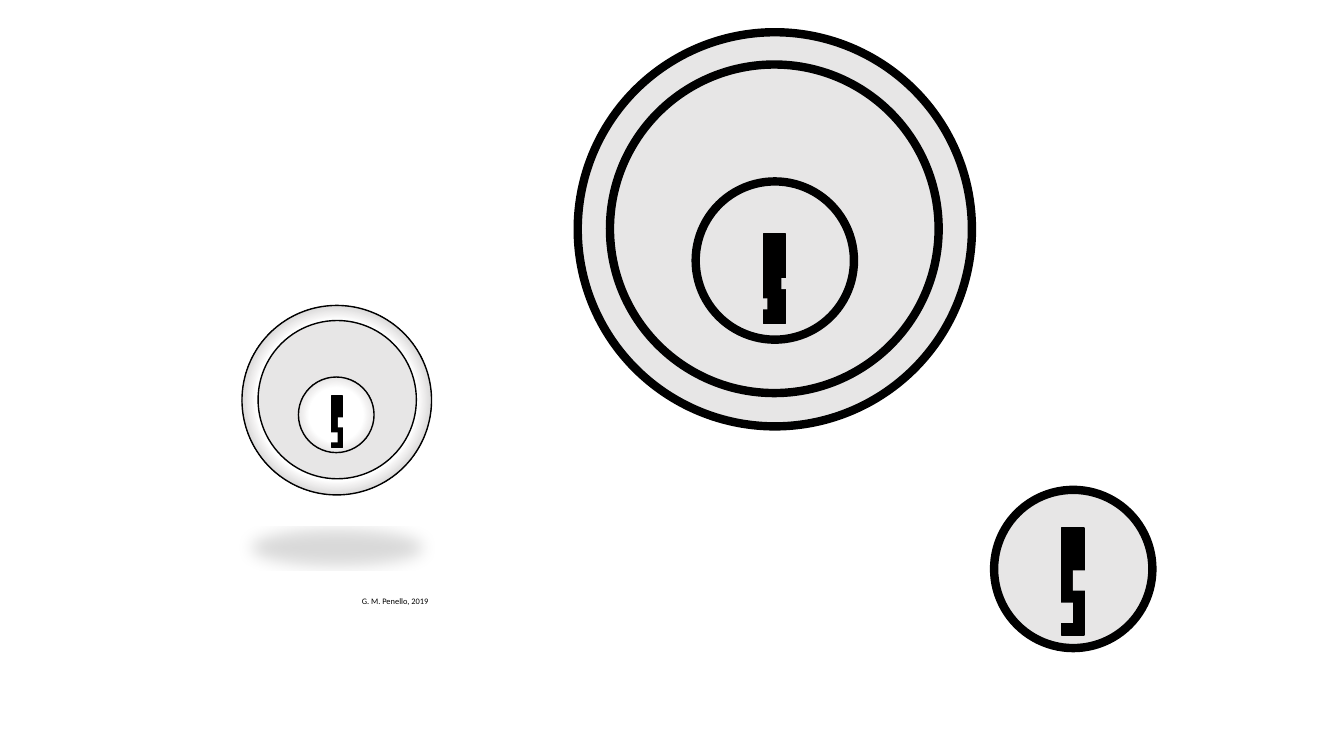
from lxml import etree
from pptx import Presentation
from pptx.dml.color import RGBColor
from pptx.enum import shapes, text
from pptx.oxml import ns
from pptx.util import Inches, Pt

BLACK = RGBColor(0x00, 0x00, 0x00)
WHITE = RGBColor(0xFF, 0xFF, 0xFF)
SILVER = RGBColor(0xE7, 0xE6, 0xE6)
GREY = RGBColor(0xD0, 0xCE, 0xCE)
DARK_RIM = RGBColor(0x40, 0x40, 0x40)
DARK_PLUG = RGBColor(0x3B, 0x38, 0x38)
OVAL = shapes.MSO_SHAPE.OVAL
RECT = shapes.MSO_SHAPE.RECTANGLE

prs = Presentation()
prs.slide_width, prs.slide_height = Inches(13.33), Inches(7.5)
s = prs.slides.add_slide(prs.slide_layouts[6])


def add_part(group, kind, box, fill, line=None, width=1):
    sp = group.shapes.add_shape(kind, *[Inches(v) for v in box])
    sp.shadow.inherit = False
    sp.fill.solid()
    sp.fill.fore_color.rgb = fill
    if line is None:
        sp.line.fill.background()
    else:
        sp.line.color.rgb = line
        sp.line.width = Pt(width)
    return sp


def set_radial_fill(sp, stops):
    pr = sp._element.spPr
    grad = etree.Element(ns.qn("a:gradFill"), rotWithShape="1")
    gs_list = etree.SubElement(grad, ns.qn("a:gsLst"))
    for pos, color in stops:
        gs = etree.SubElement(gs_list, ns.qn("a:gs"), pos=str(pos * 1000))
        etree.SubElement(gs, ns.qn("a:srgbClr"), val=str(color))
    circle = etree.SubElement(grad, ns.qn("a:path"), path="circle")
    etree.SubElement(circle, ns.qn("a:fillToRect"),
                     {side: "50000" for side in "ltrb"})
    pr.replace(pr.find(ns.qn("a:solidFill")), grad)


# Large lock: concentric rings, plug and keyway
large = s.shapes.add_group_shape()
for x, y, d in [(5.73, 0.32, 3.91), (6.05, 0.64, 3.26), (6.9, 1.8, 1.57)]:
    add_part(large, OVAL, (x, y, d, d), SILVER, BLACK, 6)
add_part(large, RECT, (7.57, 2.32, 0.22, 0.89), BLACK, BLACK)
for x, y in [(7.39, 2.96), (7.75, 2.76)]:
    add_part(large, RECT, (x, y, 0.22, 0.11), SILVER)

# Separate plug with a deeper keyway
plug = s.shapes.add_group_shape()
add_part(plug, OVAL, (9.86, 4.86, 1.57, 1.57), SILVER, BLACK, 6)
add_part(plug, RECT, (10.53, 5.24, 0.22, 1.06), BLACK, BLACK)
for x, y in [(10.42, 5.98), (10.64, 5.66)]:
    add_part(plug, RECT, (x, y, 0.22, 0.2), SILVER)

# Small finished lock with shaded rim and plug
small = s.shapes.add_group_shape()
rim = add_part(small, OVAL, (2.4, 3.03, 1.88, 1.88), WHITE, BLACK)
set_radial_fill(rim, [(60, WHITE), (74, GREY), (100, DARK_RIM)])
add_part(small, OVAL, (2.56, 3.18, 1.57, 1.57), SILVER, BLACK)
core = add_part(small, OVAL, (2.96, 3.74, 0.75, 0.75), WHITE, BLACK)
set_radial_fill(core, [(50, WHITE), (89, GREY), (100, DARK_PLUG)])

# Flattened floor shadow below the rim
effects = rim._element.spPr.find(ns.qn("a:effectLst"))
shadow = etree.SubElement(effects, ns.qn("a:outerShdw"), {
    "blurRad": str(Pt(12)), "dist": str(Pt(25)), "dir": "5400000",
    "sx": "90000", "sy": "-19000", "rotWithShape": "0"})
shade = etree.SubElement(shadow, ns.qn("a:srgbClr"), val=str(BLACK))
etree.SubElement(shade, ns.qn("a:alpha"), val="15000")

# Signature
sp = small.shapes.add_textbox(Inches(3.49), Inches(5.86), Inches(0.87), Inches(0.2))
tf = sp.text_frame
tf.word_wrap = False
tf.auto_size = text.MSO_AUTO_SIZE.SHAPE_TO_FIT_TEXT
p = tf.paragraphs[0]
p.text = "G. M. Penello, 2019"
p.font.name, p.font.size = "Calibri", Pt(6)
p.font.color.rgb = BLACK

# Small keyway, back to front
for box, fill, line in [
    ((3.25, 4.3, 0.07, 0.05), WHITE, WHITE),
    ((3.36, 4.21, 0.07, 0.05), WHITE, WHITE),
    ((3.29, 3.99, 0.11, 0.43), BLACK, BLACK),
    ((3.21, 4.3, 0.11, 0.05), WHITE, None),
    ((3.38, 4.21, 0.11, 0.05), WHITE, None),
    ((3.29, 3.93, 0.11, 0.51), BLACK, BLACK),
    ((3.24, 4.29, 0.11, 0.1), WHITE, None),
    ((3.35, 4.14, 0.11, 0.1), WHITE, None),
]:
    add_part(small, RECT, box, fill, line)

prs.save("out.pptx")
